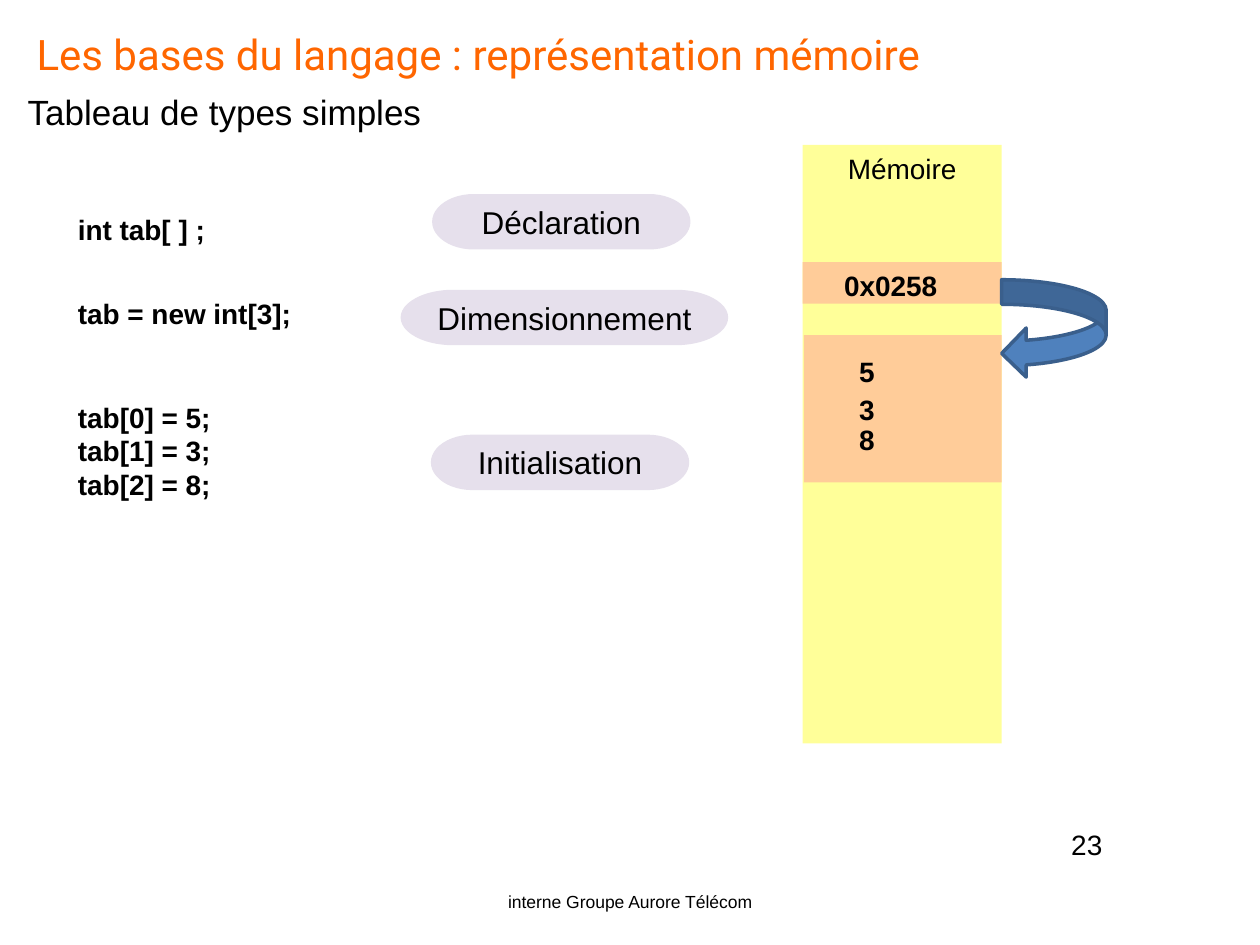
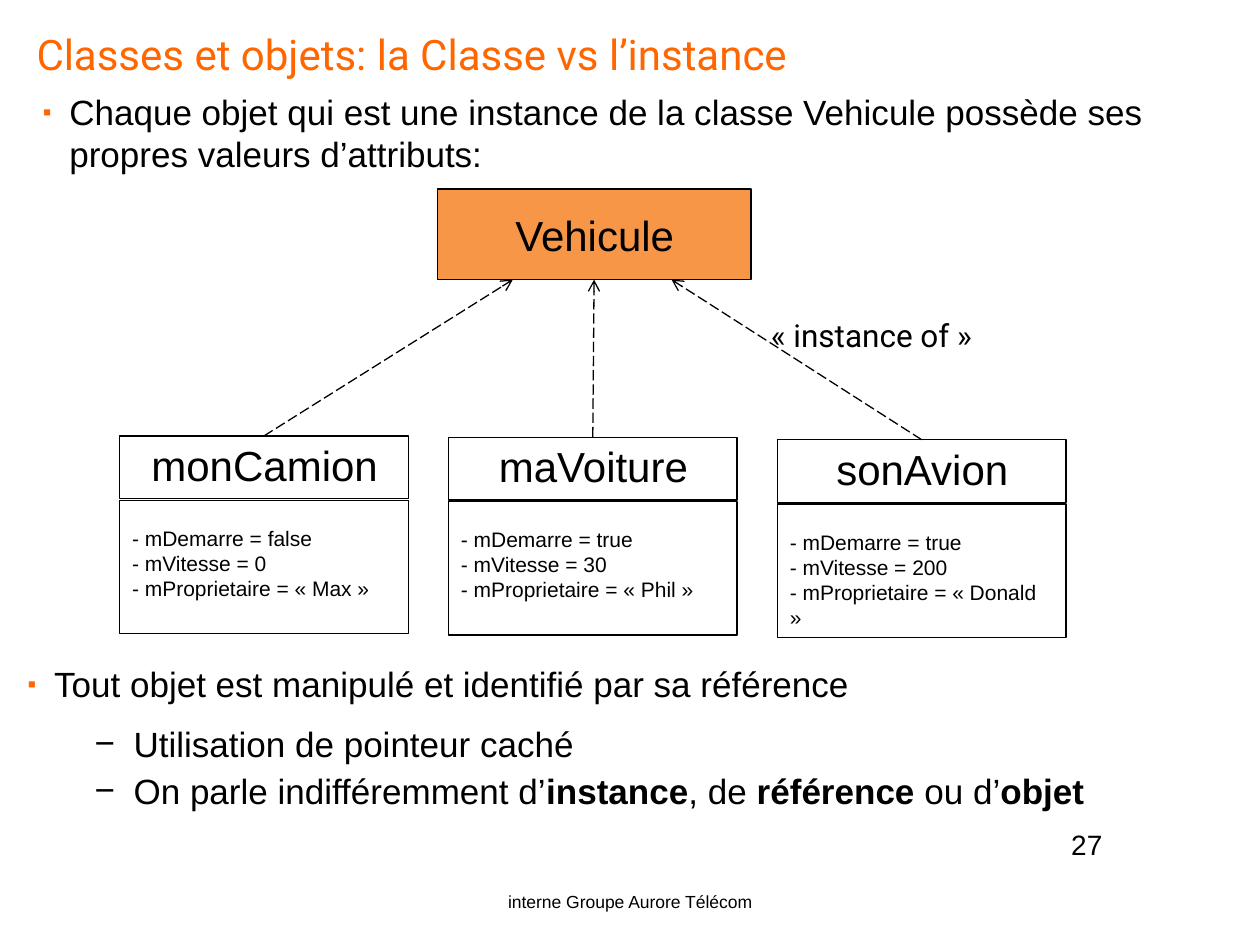
from pptx import Presentation
from pptx.dml.color import RGBColor
from pptx.enum.dml import MSO_LINE
from pptx.enum.shapes import MSO_CONNECTOR as CONNECTOR, MSO_SHAPE as SHAPE
from pptx.enum.text import MSO_ANCHOR as ANCHOR, PP_ALIGN as ALIGN
from pptx.oxml.ns import qn
from pptx.util import Inches, Pt
from lxml.etree import SubElement

color = RGBColor.from_string
BLACK, ORANGE = "000000", "FF6600"
YELLOW, PEACH, LILAC = "FFFF99", "FFCC99", "E6E0EC"
SQUARE = dict(char="▪", color=ORANGE, size=70, margin=0.21, indent=-0.21, level=0, after=10)
DASH = dict(char="−", color=BLACK, size=100, margin=0.84, indent=-0.31, level=1, after=3)


def add_box(slide, at, kind=None, fill=None, line=None, width=0.75):
    """Add a preset shape, or a text box when no kind is given."""
    place = [Inches(length) for length in at]
    if kind is None:
        return slide.shapes.add_textbox(*place)
    shape = slide.shapes.add_shape(kind, *place)
    shape.shadow.inherit = False
    if fill:
        shape.fill.solid()
        shape.fill.fore_color.rgb = color(fill)
    else:
        shape.fill.background()
    if line:
        shape.line.color.rgb = color(line)
        shape.line.width = Pt(width)
    else:
        shape.line.fill.background()
    return shape


def write_text(shape, lines, size, ink=BLACK, font="Arial", bold=None, align=ALIGN.LEFT,
               anchor=ANCHOR.TOP, inset=(0.1, 0.05), bullets=(), after=None, spacing=None):
    """Write one paragraph a line; a line is a list of runs, every second one bold."""
    frame = shape.text_frame
    frame.word_wrap = True
    frame.vertical_anchor = anchor
    frame.margin_left = frame.margin_right = Inches(inset[0])
    frame.margin_top = frame.margin_bottom = Inches(inset[1])
    for number, runs in enumerate(lines):
        paragraph = frame.add_paragraph() if number else frame.paragraphs[0]
        paragraph.alignment = align
        if spacing:
            paragraph.line_spacing = spacing
        if after:
            paragraph.space_after = Pt(after)
        if bullets:
            bullet = bullets[number]
            paragraph.level = bullet["level"]
            paragraph.space_after = Pt(bullet["after"])
            properties = paragraph._p.get_or_add_pPr()
            properties.set("marL", str(Inches(bullet["margin"])))
            properties.set("indent", str(Inches(bullet["indent"])))
            bullet_color = SubElement(properties, qn("a:buClr"))
            SubElement(bullet_color, qn("a:srgbClr"), val=bullet["color"])
            SubElement(properties, qn("a:buSzPct"), val=str(bullet["size"] * 1000))
            SubElement(properties, qn("a:buFont"), typeface="Arial")
            SubElement(properties, qn("a:buChar"), char=bullet["char"])
        paragraph.font.name = font
        paragraph.font.size = Pt(size)
        paragraph.font.bold = bold
        paragraph.font.color.rgb = color(ink)
        for position, text in enumerate([runs] if isinstance(runs, str) else runs):
            run = paragraph.add_run()
            run.text = text
            if position % 2:
                run.font.bold = True


presentation = Presentation()
presentation.slide_width = Inches(10)
presentation.slide_height = Inches(7.5)

# Title, page number and footer of both slides
pages = [("Les bases du langage : représentation mémoire", "23"),
         ("Classes et objets: la Classe vs l’instance", "27")]
for title, page_number in pages:
    slide = presentation.slides.add_slide(presentation.slide_layouts[6])
    write_text(add_box(slide, (3.96, 7.02, 2.08, 0.26)), ["interne Groupe Aurore Télécom"], 10,
               align=ALIGN.CENTER, inset=(0, 0.05))
    write_text(add_box(slide, (0.29, 0.23, 9.43, 0.54)), [title], 24, ORANGE, "Roboto",
               inset=(0, 0))
    write_text(add_box(slide, (8.33, 6.62, 0.59, 0.51)), [page_number], 16,
               align=ALIGN.CENTER, inset=(0, 0), after=8, spacing=0.8)
memory_slide, class_slide = presentation.slides

# Slide 1: memory column with the reference and the array it points to
memory = add_box(memory_slide, (6.37, 1.15, 1.58, 4.75), SHAPE.RECTANGLE, YELLOW)
write_text(memory, ["Mémoire"], 16, align=ALIGN.CENTER)
add_box(memory_slide, (6.37, 2.08, 1.58, 0.33), SHAPE.RECTANGLE, PEACH)
add_box(memory_slide, (6.38, 2.66, 1.57, 1.17), SHAPE.RECTANGLE, PEACH)
write_text(add_box(memory_slide, (0.22, 0.72, 9.41, 5.9)), ["Tableau de types simples"], 20,
           inset=(0, 0), after=10)
memory_values = [("0x0258", 6.6, 2.08, 1.08), ("5", 6.72, 2.76, 0.45),
                 ("3", 6.72, 3.06, 0.58), ("8", 6.72, 3.3, 0.41)]
for value, left, top, width in memory_values:
    write_text(add_box(memory_slide, (left, top, width, 0.37)), [value], 16, bold=True,
               anchor=ANCHOR.MIDDLE)
add_box(memory_slide, (7.95, 2.22, 0.83, 0.78), SHAPE.CURVED_LEFT_ARROW,
        "4F81BD", "3A5F8C", 2)

# Code of each step
code_blocks = [(["int tab[ ] ;"], 1.39, 4.07, 0.86),
               (["tab = new int[3];"], 1.98, 2.14, 1.02),
               (["tab[0] = 5;", "tab[1] = 3;", "tab[2] = 8;"], 3.12, 3.81, 0.91)]
for code, top, width, height in code_blocks:
    write_text(add_box(memory_slide, (0.52, top, width, height)), code, 16, bold=True,
               anchor=ANCHOR.MIDDLE)

# Name of each step
steps = [("Déclaration", 3.43, 1.54, 2.05), ("Dimensionnement", 3.18, 2.3, 2.6),
         ("Initialisation", 3.42, 3.45, 2.05)]
for step, left, top, width in steps:
    label = add_box(memory_slide, (left, top, width, 0.44), SHAPE.FLOWCHART_TERMINATOR, LILAC)
    write_text(label, [step], 18, align=ALIGN.CENTER, anchor=ANCHOR.MIDDLE)

# Slide 2: the class
vehicle = add_box(class_slide, (3.47, 1.5, 2.49, 0.72), SHAPE.RECTANGLE, "F79646", BLACK)
write_text(add_box(class_slide, (3.67, 1.61, 2.1, 0.5)), ["Vehicule"], 24, align=ALIGN.CENTER)

# Its instances, each with an arrow to the class
instances = [("monCamion", "false", "0", "Max", 3.46, 4.07),
             ("maVoiture", "true", "30", "Phil", 3.47, None),
             ("sonAvion", "true", "200", "Donald", 3.49, 5.33)]
for column, (name, started, speed, owner, top, arrow_end) in enumerate(instances):
    left = 0.95 + 2.61 * column
    header = add_box(class_slide, (left, top, 2.29, 0.5), SHAPE.RECTANGLE, line=BLACK)
    add_box(class_slide, (left, top + 0.51, 2.29, 1.06), SHAPE.RECTANGLE, line=BLACK)
    write_text(add_box(class_slide, (left + 0.1, top - 0.02, 2.1, 0.5)), [name], 24,
               align=ALIGN.CENTER)
    attributes = [f"- mDemarre = {started}", f"- mVitesse = {speed}",
                  f"- mProprietaire = « {owner} »"]
    write_text(add_box(class_slide, (left, top + 0.66, 2.29, 0.9)), attributes, 12)

    arrow = class_slide.shapes.add_connector(
        CONNECTOR.STRAIGHT, Inches(left + 1.14), Inches(top),
        Inches(arrow_end or 4.71), Inches(2.22))
    arrow.begin_connect(header, 0)
    if arrow_end is None:
        arrow.end_connect(vehicle, 2)
    arrow.line.color.rgb = color(BLACK)
    arrow.line.width = Pt(0.75)
    arrow.line.dash_style = MSO_LINE.LONG_DASH
    outline = arrow._element.spPr
    SubElement(outline.find(qn("a:ln")), qn("a:tailEnd"), type="arrow")
    SubElement(outline, qn("a:effectLst"))

write_text(add_box(class_slide, (6.02, 2.46, 2.1, 0.4)), ["« instance of »"], 18,
           font="Roboto")

# Statements above and below the diagram
write_text(add_box(class_slide, (0.34, 0.72, 9.41, 0.66)),
           ["Chaque objet qui est une instance de la classe Vehicule possède ses "
            "propres valeurs d’attributs:"], 20, inset=(0, 0), bullets=[SQUARE])
write_text(add_box(class_slide, (0.22, 5.26, 9.41, 1.36)),
           ["Tout objet est manipulé et identifié par sa référence",
            "Utilisation de pointeur caché",
            ["On parle indifféremment d’", "instance", ", de ", "référence ", "ou d’", "objet"]],
           20, inset=(0, 0), bullets=[SQUARE, DASH, DASH])

presentation.save("out.pptx")
